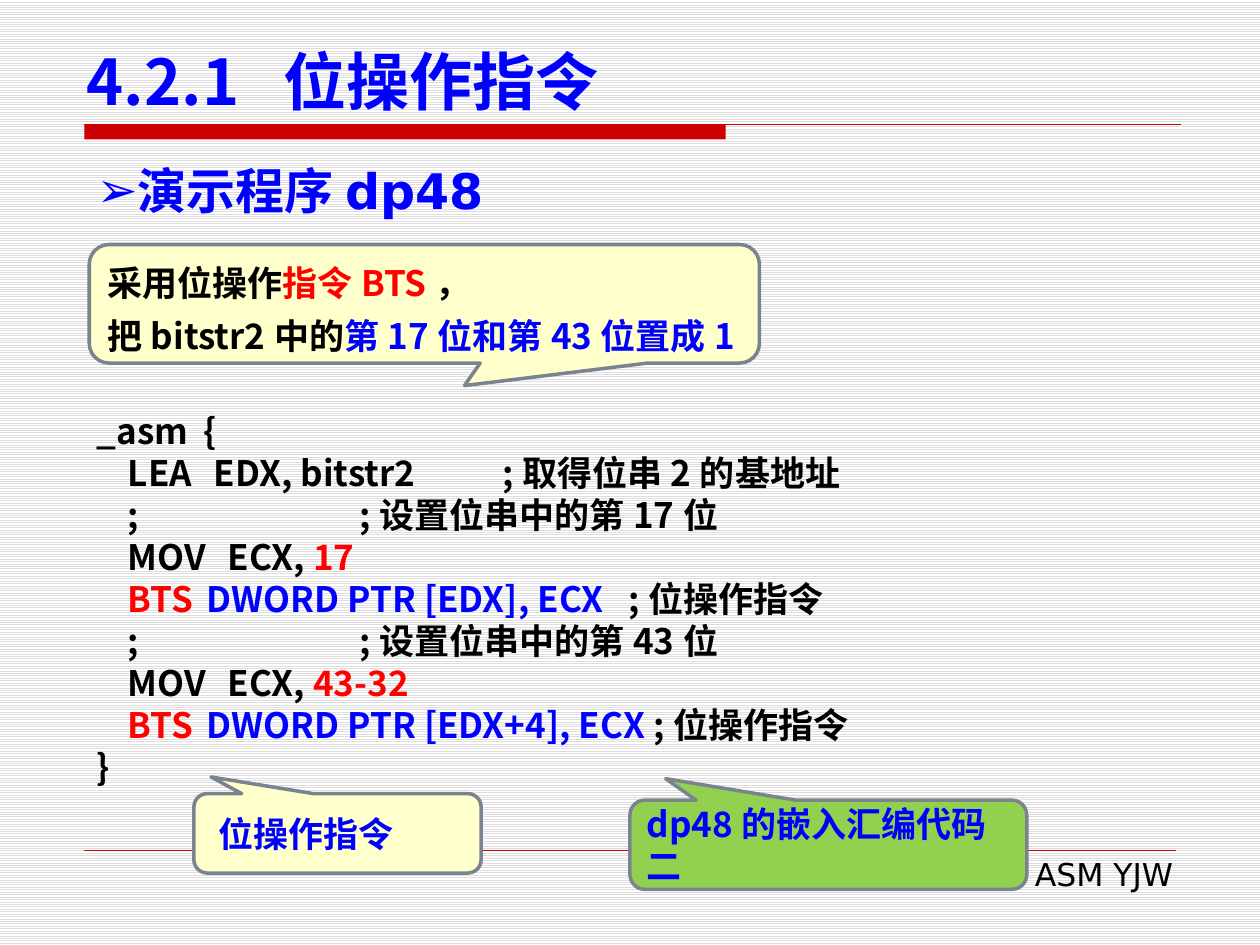
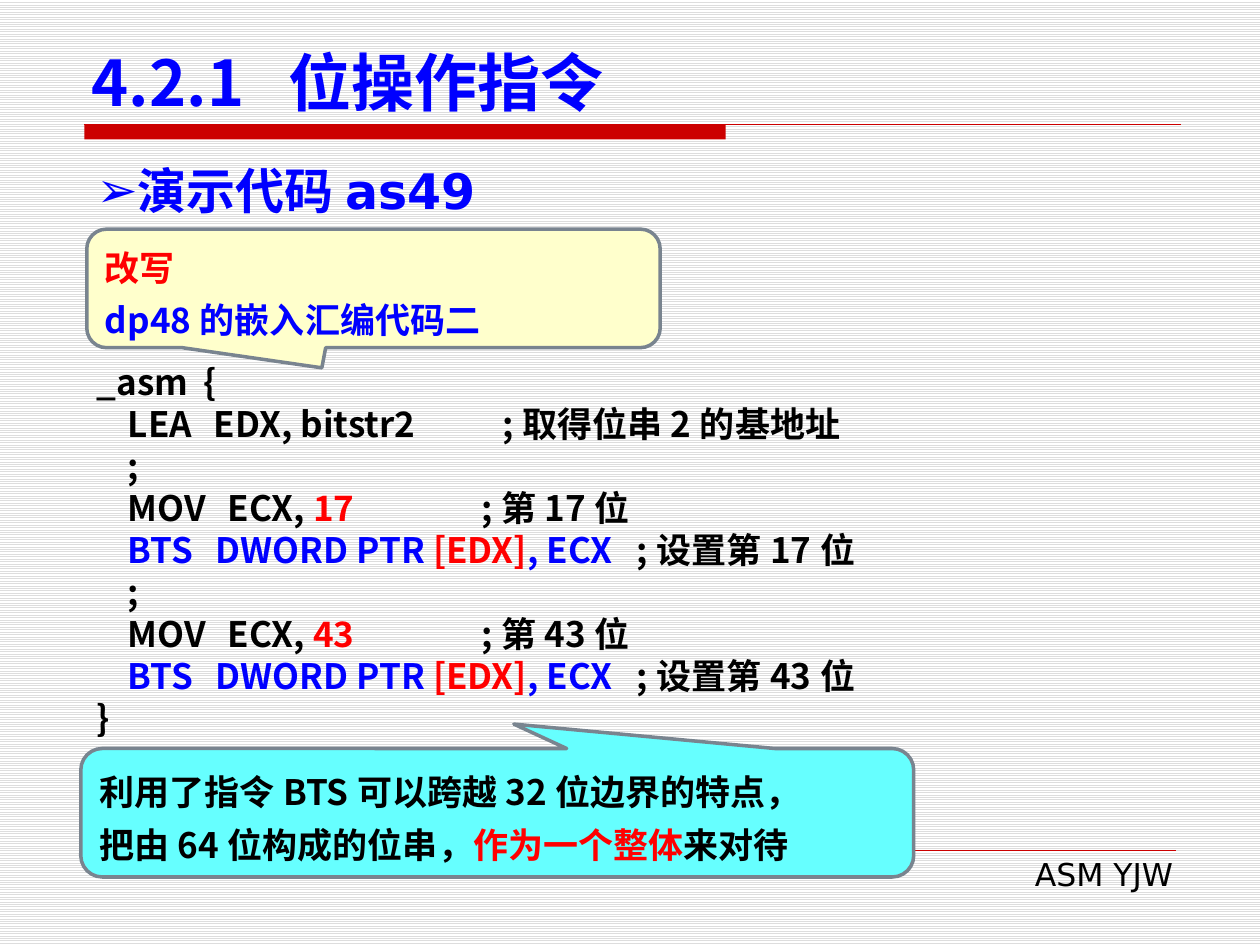
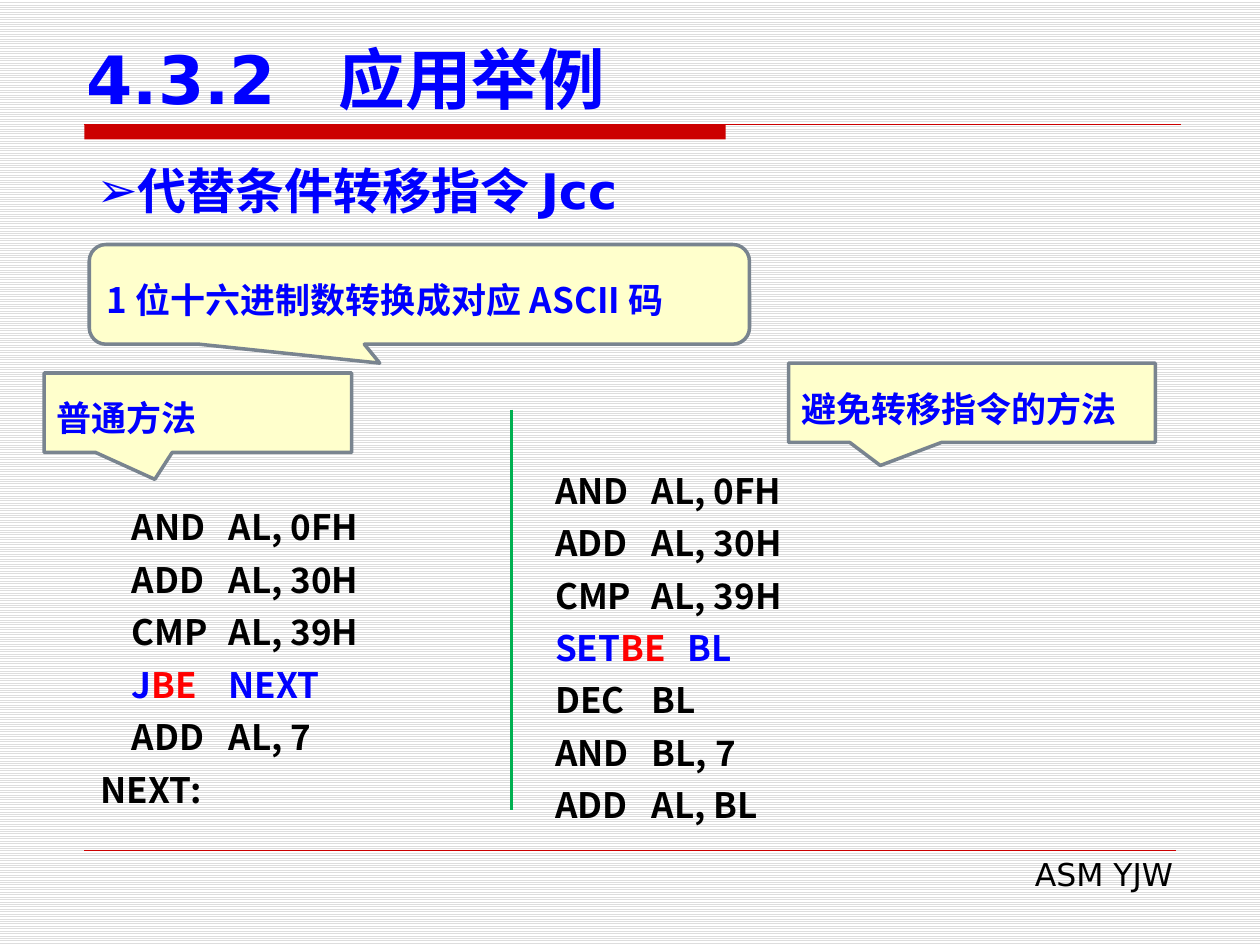
import pptx
import pptx.util
import pptx.dml.color
import pptx.enum.dml
import pptx.enum.shapes
import pptx.enum.text
import pptx.oxml.ns
import lxml.etree

Cm, Pt = pptx.util.Cm, pptx.util.Pt
Rgb = pptx.dml.color.RGBColor.from_string
Kind = pptx.enum.shapes.MSO_SHAPE
Side = pptx.enum.text.PP_ALIGN
Hold = pptx.enum.text.MSO_ANCHOR
qn = pptx.oxml.ns.qn


# Colours and type sizes
class Theme:
    red, edge, green = "CC0000", "79848F", "00B050"
    cream, lime, cyan = "FFFFCC", "92D050", "66FFFF"
    ink = {"k": "000000", "b": "0000FF", "r": "FF0000"}
    sans, han = "DejaVu Sans", "Noto Sans CJK SC"
    title = {"name": han, "size": Pt(36), "bold": True}
    large = {"name": sans, "size": Pt(38), "bold": True}
    topic = {"name": sans, "size": Pt(28), "bold": True}
    body = {"name": han, "size": Pt(20), "bold": True}
    foot = {"name": sans, "size": Pt(18), "bold": False}
    tight, loose = Pt(24), Pt(30)


def write(shape, lines, style, lead=None, side=Side.LEFT, hold=Hold.TOP):
    """Each line is (tab stops in cm, "ink:text~ink:text")."""
    frame = shape.text_frame
    for key, val in {"word_wrap": True, "vertical_anchor": hold}.items():
        setattr(frame, key, val)
    for row, (stops, text) in enumerate(lines):
        para = frame.paragraphs[0] if row == 0 else frame.add_paragraph()
        for key, val in {"alignment": side, "line_spacing": lead}.items():
            setattr(para, key, val)
        if stops:
            tabs = lxml.etree.SubElement(para._p.get_or_add_pPr(), qn("a:tabLst"))
            for stop in stops:
                lxml.etree.SubElement(tabs, qn("a:tab"), pos=str(Cm(stop)), algn="l")
        for part in text.split("~"):
            ink, _, words = part.partition(":")
            run = para.add_run()
            run.text = words
            for key, val in style.items():
                setattr(run.font, key, val)
            run.font.color.rgb = Rgb(Theme.ink[ink])
            lxml.etree.SubElement(run.font._element, qn("a:ea"), typeface=Theme.han)


def rule(slide, ends, ink, width):
    line = slide.shapes.add_connector(
        pptx.enum.shapes.MSO_CONNECTOR.STRAIGHT, *map(Cm, ends))
    line.line.color.rgb = Rgb(ink)
    line.line.width = Pt(width)
    lxml.etree.SubElement(line._element.spPr, qn("a:effectLst"))


# Shared places, in cm: left, top, width, height
wide = (1.5, 0.71, 23.01, 1.8)
round_box, square = Kind.ROUNDED_RECTANGULAR_CALLOUT, Kind.RECTANGULAR_CALLOUT
lea = ([0.63, 2.36, 8.18], "k:\tLEA\tEDX, bitstr2\t;取得位串2的基地址")
start, close = ([2.16], "k:_asm\t{"), ([], "k:}")
blank = ([0.63], "k:\t;")

# What each slide holds
pages = [
    {
        "title": (wide, Theme.title, 3.96, "b:4.2.1\t位操作指令"),
        "topic": "b:演示程序dp48",
        "code": [((1.7, 8.13, 23.01, 7.95), Theme.tight, [
            start,
            lea,
            ([0.63, 5.3], "k:\t;\t;设置位串中的第17位"),
            ([0.63, 2.64], "k:\tMOV\tECX, ~r:17"),
            ([0.63, 2.22, 10.73],
             "r:\tBTS~b:\tDWORD PTR [EDX], ECX~k:\t;位操作指令"),
            ([0.63, 5.3], "k:\t;\t;设置位串中的第43位"),
            ([0.63, 2.64], "k:\tMOV\tECX, ~r:43-32"),
            ([0.63, 2.22],
             "r:\tBTS~b:\tDWORD PTR [EDX+4], ECX ~k:;位操作指令"),
            close,
        ])],
        "notes": [
            (round_box, (1.8, 4.93, 13.51, 2.39), (0.06, 0.69), Theme.cream,
             Theme.loose, ["k:采用位操作~r:指令BTS~k:，",
                           "k:把bitstr2中的~b:第17位和第43位置成1"]),
            (round_box, (3.91, 16, 5.79, 1.6), (-0.44, -0.71), Theme.cream,
             Theme.tight, ["b: 位操作指令"]),
            (round_box, (12.7, 16.13, 8, 1.8), (-0.41, -0.74), Theme.lime,
             Theme.tight, ["b:dp48的嵌入汇编代码二"]),
        ],
    },
    {
        "title": ((1.6, 0.84, 22.23, 1.68), Theme.title, 3.96,
                  "b:4.2.1\t位操作指令"),
        "topic": "b:演示代码as49",
        "code": [((1.7, 7.14, 23.01, 7.95), Theme.tight, [
            start,
            lea,
            *[line for bit in (17, 43) for line in (
                blank,
                ([0.63, 2.64, 7.76], f"k:\tMOV\tECX, ~r:{bit}~k:\t;第{bit}位"),
                ([0.63, 2.4, 10.89], "b:\tBTS\tDWORD PTR ~r:[EDX]~b:, ECX"
                                     f"~k:\t;设置第{bit}位"),
            )],
            close,
        ])],
        "notes": [
            (round_box, (1.75, 4.62, 11.56, 2.39), (-0.09, 0.67), Theme.cream,
             Theme.loose, ["r:改写", "b:dp48的嵌入汇编代码二"]),
            (round_box, (1.63, 15.09, 16.79, 2.59), (0.02, -0.69), Theme.cyan,
             Theme.loose, ["k:利用了指令BTS可以跨越32位边界的特点，",
                           "k:把由64位构成的位串，~r:作为一个整体~k:来对待"]),
        ],
    },
    {
        "title": (wide, Theme.large, 5.08, "b:4.3.2\t应用举例"),
        "topic": "b:代替条件转移指令Jcc",
        "code": [
            ((1.78, 9.86, 8.36, 6.68), Theme.loose, [
                *[([0.63, 2.58], text) for text in (
                    "k:\tAND\tAL, 0FH", "k:\tADD\tAL, 30H", "k:\tCMP\tAL, 39H",
                    "b:\tJ~r:BE~b:\tNEXT", "k:\tADD\tAL, 7")],
                ([], "k:NEXT:"),
            ]),
            ((10.31, 9.12, 10.01, 7.75), Theme.loose, [
                ([0.63, 3.3 if "SET" in text else 2.58], text) for text in (
                    "k:\tAND\tAL, 0FH", "k:\tADD\tAL, 30H", "k:\tCMP\tAL, 39H",
                    "b:\tSET~r:BE~b:\tBL", "k:\tDEC\tBL", "k:\tAND\tBL, 7",
                    "k:\tADD\tAL, BL")
            ]),
        ],
        "split": (10.31, 8.26, 10.31, 16.33),
        "notes": [
            (round_box, (1.8, 4.93, 13.31, 2.01), (-0.06, 0.69), Theme.cream,
             Theme.loose, ["b:1位十六进制数转换成对应ASCII码"]),
            (square, (0.89, 7.52, 6.2, 1.6), (-0.14, 0.84), Theme.cream,
             Theme.loose, ["b:普通方法"]),
            (square, (15.9, 7.32, 7.39, 1.6), (-0.25, 0.79), Theme.cream,
             Theme.loose, ["b:避免转移指令的方法"]),
        ],
    },
]

deck = pptx.Presentation()
deck.slide_width, deck.slide_height = Cm(25.4), Cm(19.05)

# Striped ground on the master
ground = deck.slide_master.background.fill
ground.patterned()
ground.pattern = pptx.enum.dml.MSO_PATTERN.LIGHT_HORIZONTAL
ground.fore_color.rgb = Rgb("DDDDDD")
ground.back_color.rgb = Rgb("FFFFFF")

for page in pages:
    slide = deck.slides.add_slide(deck.slide_layouts[6])
    shapes = slide.shapes

    # Band under the title, and footer
    band = shapes.add_shape(Kind.RECTANGLE, Cm(1.7), Cm(2.51), Cm(12.93), Cm(0.3))
    band.shadow.inherit = False
    band.fill.solid()
    band.fill.fore_color.rgb = Rgb(Theme.red)
    band.line.fill.background()
    rule(slide, (1.7, 2.51, 23.8, 2.51), Theme.red, 0.75)
    rule(slide, (1.7, 17.15, 23.7, 17.15), Theme.red, 0.25)
    foot = shapes.add_textbox(Cm(9.7), Cm(17.12), Cm(14.2), Cm(1.02))
    write(foot, [([], "k:ASM YJW")], Theme.foot, side=Side.RIGHT)

    # Title and topic
    place, style, stop, text = page["title"]
    title = shapes.add_textbox(*map(Cm, place))
    write(title, [([stop], text)], style, hold=Hold.BOTTOM)
    topic = shapes.add_textbox(Cm(1.7), Cm(3.12), Cm(22), Cm(1.45))
    write(topic, [([], page["topic"])], Theme.topic, side=Side.JUSTIFY)
    props = topic.text_frame.paragraphs[0]._p.get_or_add_pPr()
    for key, val in {"marL": Cm(0.79), "indent": -Cm(0.79)}.items():
        props.set(key, str(val))
    lxml.etree.SubElement(props, qn("a:buFont"), typeface=Theme.sans)
    lxml.etree.SubElement(props, qn("a:buChar"), char="➢")

    # Code
    for place, lead, lines in page["code"]:
        write(shapes.add_textbox(*map(Cm, place)), lines, Theme.body, lead)
    if "split" in page:
        rule(slide, page["split"], Theme.green, 1.5)

    # Callouts
    for kind, place, tip, fill, lead, lines in page["notes"]:
        note = shapes.add_shape(kind, *map(Cm, place))
        note.shadow.inherit = False
        note.adjustments[0], note.adjustments[1] = tip
        note.fill.solid()
        note.fill.fore_color.rgb = Rgb(fill)
        note.line.color.rgb = Rgb(Theme.edge)
        note.line.width = Pt(2)
        write(note, [([], line) for line in lines], Theme.body, lead,
              hold=Hold.MIDDLE)

deck.save("out.pptx")
